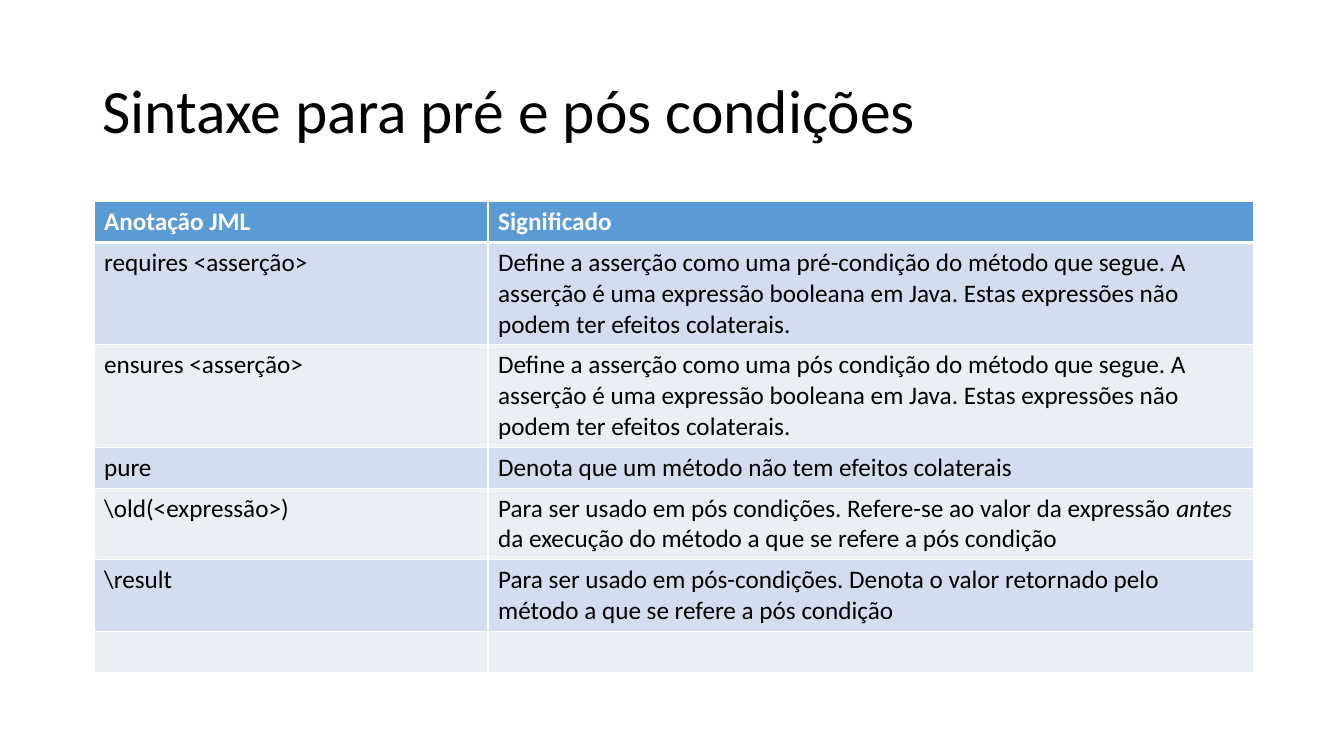
from lxml.etree import SubElement
from pptx import Presentation
from pptx.dml.color import RGBColor as RGB
from pptx.enum.text import MSO_ANCHOR as Anchor, MSO_AUTO_SIZE as Fit, PP_ALIGN as Align
from pptx.oxml.ns import qn
from pptx.util import Cm, Pt

COLORS = {"text": "000000", "white": "FFFFFF", "header": "5B9BD5",
          "odd": "D2DEEF", "even": "EAEFF7"}
ROWS = [
    ("Anotação JML", ["Significado"]),
    ("requires <asserção>",
     ["Define a asserção como uma pré-condição do método que segue. A asserção é uma "
      "expressão booleana em Java. Estas expressões não podem ter efeitos colaterais."]),
    ("ensures <asserção>",
     ["Define a asserção como uma pós condição do método que segue. A asserção é uma "
      "expressão booleana em Java. Estas expressões não podem ter efeitos colaterais."]),
    ("pure", ["Denota que um método não tem efeitos colaterais"]),
    ("\\old(<expressão>)",
     ["Para ser usado em pós condições. Refere-se ao valor da expressão ", "antes",
      " da execução do método a que se refere a pós condição"]),
    ("\\result",
     ["Para ser usado em pós-condições. Denota o valor retornado pelo método a que se "
      "refere a pós condição"]),
    ("", []),
]


def add_run(p, text, size=18, color="text", bold=False, italic=False, font="Calibri"):
    """Append a formatted run to a paragraph."""
    r = p.add_run()
    r.text = text
    r.font.name, r.font.size = font, Pt(size)
    r.font.bold, r.font.italic = bold, italic
    r.font.color.rgb = RGB.from_string(COLORS[color])


def add_border(cell, side, width):
    """Draw one white cell border, with its width in points."""
    ln = SubElement(cell._tc.get_or_add_tcPr(), qn(f"a:ln{side}"), w=str(Pt(width)))
    fill = SubElement(ln, qn("a:solidFill"))
    SubElement(fill, qn("a:srgbClr"), val=COLORS["white"])


class Deck:
    """Hold the presentation, its font style and the current slide."""

    def __init__(self, width, height):
        """Start a presentation of the given size."""
        self.prs = Presentation()
        self.prs.slide_width, self.prs.slide_height = width, height

    def add_slide(self):
        """Add a title-only slide and make it current."""
        self.s = self.prs.slides.add_slide(self.prs.slide_layouts[5])

    def title(self, text, left, top, width, height):
        """Place and fill the title placeholder."""
        sp = self.s.shapes.title
        sp.left, sp.top, sp.width, sp.height = left, top, width, height
        tf = sp.text_frame
        tf.word_wrap, tf.auto_size = True, Fit.NONE
        tf.vertical_anchor = Anchor.MIDDLE
        p = tf.paragraphs[0]
        p.alignment, p.line_spacing = Align.LEFT, 0.9
        add_run(p, text, size=44)

    def cell(self, cell, texts, row):
        """Style one cell; every second run is italic."""
        header = row == 0
        for side in "LRTB":
            thick = (row, side) in ((0, "B"), (1, "T"))
            add_border(cell, side, 3 if thick else 1)
        fill = "header" if header else "odd" if row % 2 else "even"
        cell.fill.solid()
        cell.fill.fore_color.rgb = RGB.from_string(COLORS[fill])
        p = cell.text_frame.paragraphs[0]
        for i, text in enumerate(texts):
            add_run(p, text, color="white" if header else "text",
                    bold=header, italic=i % 2 == 1)

    def table(self, rows, left, top, widths, height, row_height):
        """Add a banded table whose rows grow with their text."""
        frame = self.s.shapes.add_table(len(rows), len(widths), left, top,
                                        sum(widths), height)
        table = frame.table
        for col, width in zip(table.columns, widths):
            col.width = width
        for i, (name, meaning) in enumerate(rows):
            table.rows[i].height = row_height
            self.cell(table.cell(i, 0), [name] if name else [], i)
            self.cell(table.cell(i, 1), meaning, i)
        frame.height = height


def main():
    """Build and save the slide."""
    deck = Deck(Cm(33.87), Cm(19.05))
    deck.add_slide()
    deck.title("Sintaxe para pré e pós condições", Cm(2.33), Cm(1.01), Cm(29.21), Cm(3.68))
    deck.table(ROWS, Cm(2.37), Cm(5.08), [Cm(9.93), Cm(19.28)], Cm(11.73), Cm(1.03))
    deck.prs.save("out.pptx")


if __name__ == "__main__":
    main()
